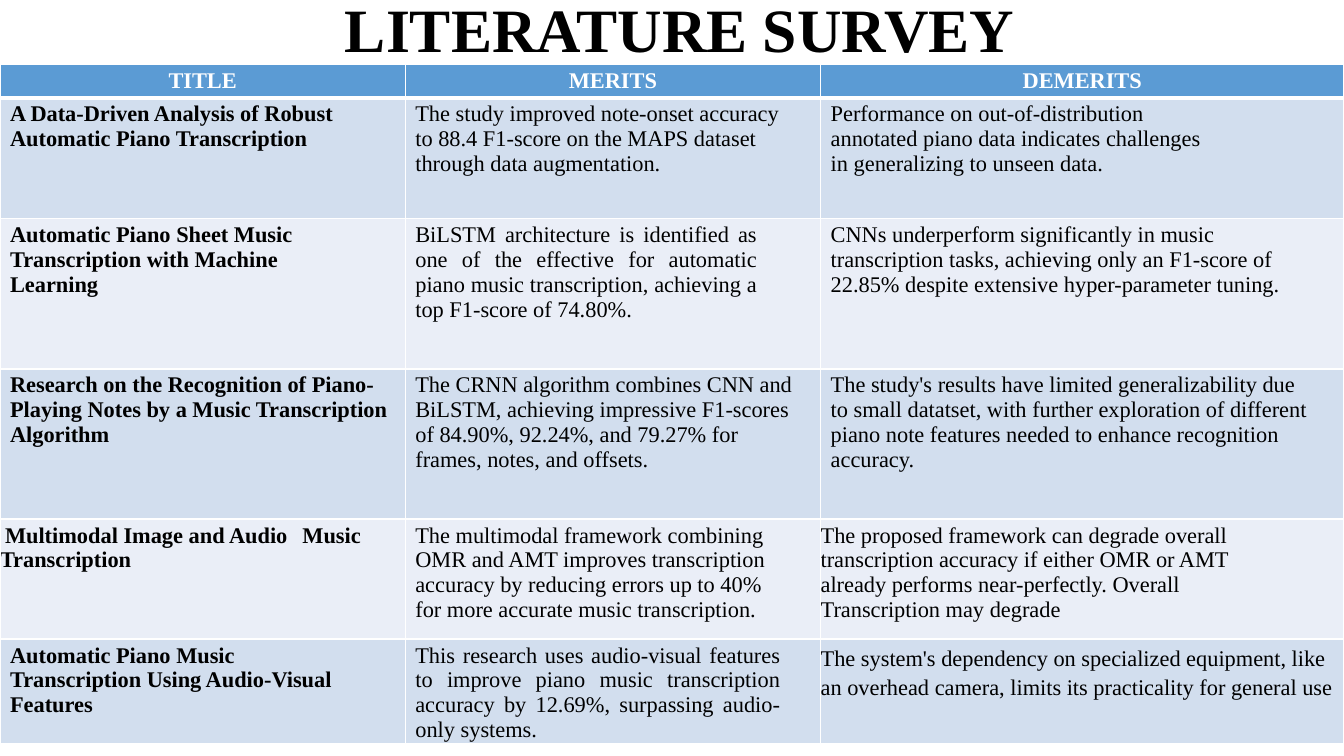
import pptx
import pptx.dml.color
import pptx.enum.text
import pptx.oxml
import pptx.oxml.ns
import pptx.util

Inches = pptx.util.Inches
RGBColor = pptx.dml.color.RGBColor
ALIGN = pptx.enum.text.PP_ALIGN

BLACK = RGBColor(0x00, 0x00, 0x00)
WHITE = RGBColor(0xFF, 0xFF, 0xFF)
HEADER_BLUE = RGBColor(0x5B, 0x9B, 0xD4)
BANDS = [RGBColor(0xD2, 0xDE, 0xEE), RGBColor(0xEA, 0xEE, 0xF7)]

COLUMN_WIDTHS = [4.02, 4.12, 5.19]
ROW_HEIGHTS = [0.33, 1.2, 1.49, 1.49, 1.19, 1.04]
HEADINGS = ["TITLE", "MERITS", "DEMERITS"]
PAPERS = [
    ["A Data-Driven Analysis of Robust Automatic Piano Transcription",
     "The study improved note-onset accuracy to 88.4 F1-score on the MAPS dataset "
     "through data augmentation.",
     "Performance on out-of-distribution annotated piano data indicates challenges "
     "in generalizing to unseen data."],
    ["Automatic Piano Sheet Music Transcription with Machine Learning",
     "BiLSTM architecture is identified as one of the effective for automatic piano "
     "music transcription, achieving a top F1-score of 74.80%.",
     "CNNs underperform significantly in music transcription tasks, achieving only an "
     "F1-score of 22.85% despite extensive hyper-parameter tuning."],
    ["Research on the Recognition of Piano-Playing Notes by a Music Transcription Algorithm",
     "The CRNN algorithm combines CNN and BiLSTM, achieving impressive F1-scores of "
     "84.90%, 92.24%, and 79.27% for frames, notes, and offsets.",
     "The study's results have limited generalizability due to small datatset, with "
     "further exploration of different piano note features needed to enhance "
     "recognition accuracy."],
    ["Multimodal Image and Audio\tMusic Transcription",
     "The multimodal framework combining OMR and AMT improves transcription accuracy by "
     "reducing errors up to 40% for more accurate music transcription.",
     "The proposed framework can degrade overall transcription accuracy if either OMR or "
     "AMT already performs near-perfectly. Overall Transcription may degrade"],
    ["Automatic Piano Music Transcription Using Audio-Visual Features",
     "This research uses audio-visual features to improve piano music transcription "
     "accuracy by 12.69%, surpassing audio-only systems.",
     "The system's dependency on specialized equipment, like an overhead camera, limits "
     "its practicality for general use"],
]
RIGHT_MARGINS = [
    [0, 0.3, 1.32],
    [0.64, 0.63, 0.44],
    [0, 0.23, 0.33],
    [0, 0.45, 0.83],
    [0.64, 0.4, 0],
]
FLUSH_CELLS = {(4, 0), (4, 2), (5, 2)}
JUSTIFIED_CELLS = {(2, 1), (5, 1)}


def apply_format(target, values):
    """Set every attribute named in a dict of format values."""
    for name, value in values.items():
        setattr(target, name, value)


def write_text(para, text, size, color, bold):
    """Add one run of formatted text to a paragraph."""
    span = para.add_run()
    span.text = text
    apply_format(span.font, {"name": "Times New Roman", "size": pptx.util.Pt(size), "bold": bold})
    span.font.color.rgb = color


def set_borders(cell, widths):
    """Draw white borders of the given point widths on a cell."""
    properties = cell._tc.get_or_add_tcPr()
    for position, (side, width) in enumerate(widths.items()):
        border = pptx.oxml.parse_xml(
            f'<a:ln{side} {pptx.oxml.ns.nsdecls("a")} w="{pptx.util.Pt(width)}">'
            f'<a:solidFill><a:srgbClr val="{WHITE}"/></a:solidFill></a:ln{side}>')
        properties.insert(position, border)


def indent_text(para, left, first=0, tab=None):
    """Set the indents and an optional tab stop of a paragraph in inches."""
    properties = para._p.get_or_add_pPr()
    properties.set("marL", str(Inches(left)))
    properties.set("indent", str(Inches(first)))
    if tab:
        properties.append(pptx.oxml.parse_xml(
            f'<a:tabLst {pptx.oxml.ns.nsdecls("a")}>'
            f'<a:tab pos="{Inches(tab)}" algn="l"/></a:tabLst>'))


def add_heading(page, left, top, width, height):
    """Place the slide title in the given box."""
    title = page.shapes.title
    apply_format(title, {"left": Inches(left), "top": Inches(top),
                         "width": Inches(width), "height": Inches(height)})
    apply_format(title.text_frame, {
        "margin_left": 0, "margin_right": 0, "margin_top": Inches(0.01), "margin_bottom": 0,
        "word_wrap": False, "vertical_anchor": pptx.enum.text.MSO_ANCHOR.BOTTOM})
    para = title.text_frame.paragraphs[0]
    para.alignment = ALIGN.CENTER
    write_text(para, "LITERATURE SURVEY", 44, BLACK, True)


def fill_cell(cell, row, column, text):
    """Format one table cell and write its text."""
    header = row == 0
    right = 0 if header else RIGHT_MARGINS[row - 1][column]
    apply_format(cell, {"margin_left": 0, "margin_right": Inches(right),
                        "margin_top": Inches(0.04), "margin_bottom": 0})
    cell.fill.solid()
    cell.fill.fore_color.rgb = HEADER_BLUE if header else BANDS[(row - 1) % 2]
    set_borders(cell, {"L": 1, "R": 1, "T": 3 if row == 1 else 1, "B": 3 if header else 1})
    para = cell.text_frame.paragraphs[0]
    if header:
        para.alignment = ALIGN.CENTER
    else:
        para.alignment = ALIGN.JUSTIFY if (row, column) in JUSTIFIED_CELLS else ALIGN.LEFT
        indent_text(para, 0 if (row, column) in FLUSH_CELLS else 0.1)
    if "\t" in text:
        indent_text(para, 0, 0.05, 3.08)
    if (row, column) == (5, 2):
        apply_format(para, {"line_spacing": 1.15, "space_before": pptx.util.Pt(12)})
    write_text(para, text, 16, WHITE if header else BLACK, header or column == 0)


def add_survey(page, left, top):
    """Place the table of surveyed papers with its corner at the given point."""
    frame = page.shapes.add_table(
        len(ROW_HEIGHTS), len(COLUMN_WIDTHS), Inches(left), Inches(top),
        Inches(sum(COLUMN_WIDTHS)), Inches(sum(ROW_HEIGHTS)))
    table = frame.table
    for column, width in zip(table.columns, COLUMN_WIDTHS):
        column.width = Inches(width)
    for row, height in zip(table.rows, ROW_HEIGHTS):
        row.height = Inches(height)
    for row, texts in enumerate([HEADINGS] + PAPERS):
        for column, text in enumerate(texts):
            fill_cell(table.cell(row, column), row, column, text)


def main():
    """Build the literature survey slide and save it."""
    deck = pptx.Presentation()
    deck.slide_width, deck.slide_height = Inches(13.33), Inches(7.5)
    page = deck.slides.add_slide(deck.slide_layouts[5])
    add_heading(page, 3.41, -0.11, 6.67, 0.75)
    add_survey(page, 0, 0.64)
    deck.save("out.pptx")


if __name__ == "__main__":
    main()
